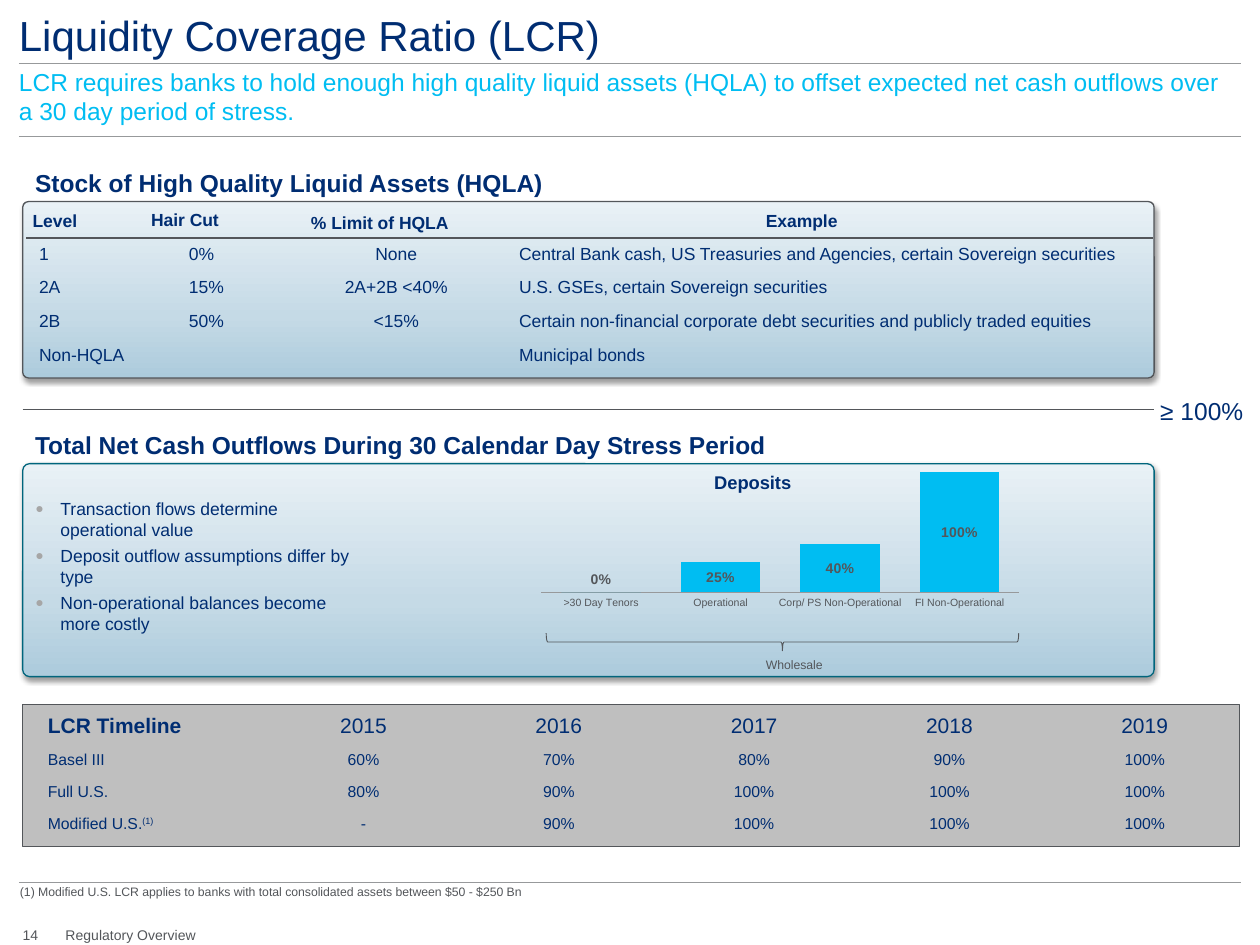
from lxml.etree import SubElement
from pptx import Presentation
from pptx.chart.data import CategoryChartData
from pptx.dml.color import RGBColor
from pptx.enum.chart import XL_CHART_TYPE, XL_LABEL_POSITION as LABEL, XL_TICK_MARK as TICK
from pptx.enum.shapes import MSO_CONNECTOR, MSO_SHAPE as SHAPE
from pptx.enum.text import MSO_ANCHOR as ANCHOR, PP_ALIGN as ALIGN
from pptx.oxml import parse_xml
from pptx.oxml.ns import nsdecls, qn
from pptx.util import Inches, Pt

NAVY = RGBColor(0x00, 0x2D, 0x72)
CYAN = RGBColor(0x00, 0xBD, 0xF2)
TEAL = RGBColor(0x00, 0x65, 0x7C)
DARK = RGBColor(0x53, 0x56, 0x5A)
GRAY = RGBColor(0x97, 0x99, 0x9B)
SILVER = RGBColor(0xBF, 0xBF, 0xBF)
WHITE = RGBColor(0xFF, 0xFF, 0xFF)
BULLET = RGBColor(0xA6, 0xA6, 0xA6)
CARD_STOPS = ((0, "ACCBDC"), (35, "C5DAE6"), (100, "E9F1F6"))
NO_STYLE = "{2D5ABB26-0587-4C30-8999-92F81FD0307C}"

ASSETS = [
    ("1", "0%", "None", "Central Bank cash, US Treasuries and Agencies, certain Sovereign securities"),
    ("2A", "15%", "2A+2B <40%", "U.S. GSEs, certain Sovereign securities"),
    ("2B", "50%", "<15%",
     "Certain non-financial corporate debt securities and publicly traded equities"),
    ("Non-HQLA", "", "", "Municipal bonds"),
]
TIMELINE = [
    ("LCR Timeline", "2015", "2016", "2017", "2018", "2019"),
    ("Basel III", "60%", "70%", "80%", "90%", "100%"),
    ("Full U.S.", "80%", "90%", "100%", "100%", "100%"),
    ("Modified U.S.", "-", "90%", "100%", "100%", "100%"),
]
HEADINGS = [("Level", 0.16, 1.62, 0.71), ("Hair Cut", 1.1, 1.61, 1.09),
            ("% Limit of HQLA", 2.37, 1.63, 1.54), ("Example", 5.98, 1.62, 0.87)]
POINTS = ["Transaction flows determine operational value",
          "Deposit outflow assumptions differ by type",
          "Non-operational balances become more costly"]
DEPOSITS = {">30 Day Tenors": 0, "Operational": 0.25,
            "Corp/ PS Non-Operational": 0.4, "FI Non-Operational": 1}


class SlideBuilder:
    def __init__(self, slide, font="Arial"):
        self.slide, self.font = slide, font

    def style(self, font, size, color, bold=False):
        values = {"name": self.font, "size": Pt(size), "bold": bold}
        for name, value in values.items():
            setattr(font, name, value)
        font.color.rgb = color

    def run(self, p, text, size, color=NAVY, bold=False):
        r = p.add_run()
        r.text = text
        self.style(r.font, size, color, bold)
        return r

    def frame(self, tf, margins=None, anchor=ANCHOR.TOP):
        values = {"word_wrap": True, "vertical_anchor": anchor}
        if margins is not None:
            values.update({f"margin_{side}": Inches(margins)
                           for side in ("left", "right", "top", "bottom")})
        for name, value in values.items():
            setattr(tf, name, value)

    def place(self, sp, box):
        for name, value in zip(("left", "top", "width", "height"), box):
            setattr(sp, name, Inches(value))

    def text(self, box, text, size, color=NAVY, bold=False, **frame):
        tf = self.slide.shapes.add_textbox(*map(Inches, box)).text_frame
        self.frame(tf, **frame)
        self.run(tf.paragraphs[0], text, size, color, bold)

    def title(self, box, text):
        sp = self.slide.shapes.title
        self.place(sp, box)
        sp.fill.solid()
        sp.fill.fore_color.rgb = sp.line.color.rgb = WHITE
        self.frame(sp.text_frame, margins=0, anchor=ANCHOR.MIDDLE)
        p = sp.text_frame.paragraphs[0]
        p.alignment = ALIGN.LEFT
        self.run(p, text, 24)

    def bullets(self, box, items):
        sp = self.slide.placeholders[1]
        # Re-adding the placeholder's element brings it in front of the card.
        self.slide.shapes._spTree.append(sp._element)
        self.place(sp, box)
        tf = sp.text_frame
        self.frame(tf)
        for i, item in enumerate(items):
            p = tf.add_paragraph() if i else tf.paragraphs[0]
            p.space_before = Pt(3)
            pPr = p._p.get_or_add_pPr()
            pPr.set("marL", str(Inches(0.2)))
            pPr.set("indent", str(Inches(-0.2)))
            color = SubElement(pPr, qn("a:buClr"))
            SubElement(color, qn("a:srgbClr"), val=str(BULLET))
            SubElement(pPr, qn("a:buSzPct"), val="80000")
            SubElement(pPr, qn("a:buFont"), typeface=self.font)
            SubElement(pPr, qn("a:buChar"), char="●")
            self.run(p, item, 10)

    def rule(self, x1, x2, y, color=GRAY):
        line = self.slide.shapes.add_connector(
            MSO_CONNECTOR.STRAIGHT, *map(Inches, (x1, y, x2, y)))
        line.line.color.rgb, line.line.width = color, Pt(0.5)
        SubElement(line._element.spPr, qn("a:effectLst"))

    def shape(self, kind, box, line, width=0.75, fill=None):
        sp = self.slide.shapes.add_shape(kind, *map(Inches, box))
        sp.shadow.inherit = False
        sp.line.color.rgb, sp.line.width = line, Pt(width)
        if fill is None:
            sp.fill.background()
        else:
            sp.fill.solid()
            sp.fill.fore_color.rgb = fill
        return sp

    def card(self, box, line):
        """Rounded panel with a vertical gradient and a soft shadow."""
        sp = self.shape(SHAPE.ROUNDED_RECTANGLE, box, line)
        sp.adjustments[0] = 0.033
        spPr = sp._element.spPr
        stops = "".join(f'<a:gs pos="{pos * 1000}"><a:srgbClr val="{color}"/></a:gs>'
                        for pos, color in CARD_STOPS)
        spPr.replace(spPr.find(qn("a:noFill")), parse_xml(
            f'<a:gradFill {nsdecls("a")} rotWithShape="1"><a:gsLst>{stops}</a:gsLst>'
            '<a:lin ang="16200000" scaled="0"/></a:gradFill>'))
        shadow = SubElement(spPr.find(qn("a:effectLst")), qn("a:outerShdw"), blurRad=str(Pt(3.1)),
                            dist=str(Pt(1.6)), dir="5400000", rotWithShape="0")
        color = SubElement(shadow, qn("a:srgbClr"), val="000000")
        SubElement(color, qn("a:alpha"), val="38000")

    def table(self, box, rows, widths, heights, sizes, centered, anchor, top_line=False):
        table = self.slide.shapes.add_table(len(rows), len(widths), *map(Inches, box)).table
        table.first_row = table.horz_banding = False
        table._tbl.tblPr.find(qn("a:tableStyleId")).text = NO_STYLE
        for column, width in zip(table.columns, widths):
            column.width = Inches(width)
        for i, (row, height, size) in enumerate(zip(rows, heights, sizes)):
            table.rows[i].height = Inches(height)
            for j, text in enumerate(row):
                cell = table.cell(i, j)
                cell.fill.background()
                cell.vertical_anchor = anchor
                p = cell.text_frame.paragraphs[0]
                p.alignment = ALIGN.CENTER if j in centered else ALIGN.LEFT
                if text:
                    self.run(p, text, size)
                else:
                    p._p.get_or_add_endParaRPr().set("sz", str(size * 100))
                if top_line and i == 0:
                    cell._tc.get_or_add_tcPr().insert(0, parse_xml(
                        f'<a:lnT {nsdecls("a")} w="{Pt(1)}"><a:solidFill>'
                        f'<a:srgbClr val="{DARK}"/></a:solidFill></a:lnT>'))
        return table

    def column_chart(self, box, values):
        data = CategoryChartData(number_format="0%")
        data.categories = list(values)
        data.add_series("Series 1", list(values.values()))
        chart = self.slide.shapes.add_chart(
            XL_CHART_TYPE.COLUMN_CLUSTERED, *map(Inches, box), data).chart
        chart.has_legend = chart.has_title = False
        self.style(chart.font, 18, DARK)
        axis = chart.category_axis
        axis.major_tick_mark = TICK.NONE
        axis.format.line.color.rgb = GRAY
        self.style(axis.tick_labels.font, 6, DARK)
        scale = chart.value_axis
        scale.minimum_scale, scale.maximum_scale = 0, 1
        scale.visible = scale.has_major_gridlines = False
        plot = chart.plots[0]
        plot.gap_width, plot.vary_by_categories = 50, False
        series = plot.series[0]
        series.format.fill.solid()
        series.format.fill.fore_color.rgb = CYAN
        labels = series.data_labels
        labels.show_value, labels.position = True, LABEL.CENTER
        labels.number_format, labels.number_format_is_linked = "0%", False
        self.style(labels.font, 8, DARK, True)
        zero = series.points[0].data_label
        self.style(zero.font, 8, DARK, True)
        zero.position = LABEL.OUTSIDE_END
        area = chart._chartSpace.chart.plotArea
        for old in area.findall(qn("c:layout")):
            area.remove(old)
        sides = {"x": 0.012, "y": 0.041, "w": 0.968, "h": 0.677}
        modes = '<c:xMode val="edge"/><c:yMode val="edge"/>'
        area.insert(0, parse_xml(
            f'<c:layout {nsdecls("c")}><c:manualLayout><c:layoutTarget val="inner"/>{modes}'
            + "".join(f'<c:{k} val="{v}"/>' for k, v in sides.items())
            + "</c:manualLayout></c:layout>"))


def main():
    prs = Presentation()
    prs.slide_width, prs.slide_height = Inches(10), Inches(7.5)
    s = SlideBuilder(prs.slides.add_slide(prs.slide_layouts[1]))

    for y in (0.5, 1.08, 7):
        s.rule(0.15, 9.85, y)
    s.title((0.15, 0.07, 9.69, 0.41), "Liquidity Coverage Ratio (LCR)")
    s.text((0.15, 0.53, 9.69, 0.47),
           "LCR requires banks to hold enough high quality liquid assets (HQLA) to offset "
           "expected net cash outflows over a 30 day period of stress.",
           14, CYAN, margins=0, anchor=ANCHOR.MIDDLE)

    s.card((0.18, 1.6, 8.98, 1.4), DARK)
    s.text((0.18, 1.25, 8.98, 0.4), "Stock of High Quality Liquid Assets (HQLA)",
           14, bold=True, anchor=ANCHOR.MIDDLE)
    s.table((0.21, 1.89, 8.94, 1.07), ASSETS, (1.19, 0.87, 1.75, 5.13), [0.267] * 4,
            [10] * 4, {2}, ANCHOR.TOP, top_line=True)
    for text, x, y, width in HEADINGS:
        s.text((x, y, width, 0.27), text, 10, bold=True)

    s.rule(0.18, 9.16, 3.25, DARK)
    s.text((9.11, 3.09, 0.89, 0.34), "≥ 100%", 14)

    s.card((0.18, 3.68, 8.98, 1.69), TEAL)
    s.text((0.18, 3.33, 8.98, 0.4),
           "Total Net Cash Outflows During 30 Calendar Day Stress Period",
           14, bold=True, anchor=ANCHOR.MIDDLE)
    s.bullets((0.18, 3.9, 2.78, 1.19), POINTS)
    s.column_chart((4.25, 3.69, 3.92, 1.41), DEPOSITS)
    s.text((5.57, 3.69, 1.45, 0.29), "Deposits", 10.5, bold=True)
    s.shape(SHAPE.LEFT_BRACE, (6.14, 3.22, 0.14, 3.75), DARK, 0.5).rotation = 270
    s.text((5.98, 5.17, 0.9, 0.23), "Wholesale", 7, DARK)

    s.shape(SHAPE.RECTANGLE, (0.18, 5.59, 9.66, 1.13), DARK, fill=SILVER)
    timeline = s.table((0.28, 5.61, 9.58, 1.01), TIMELINE, [1.83] + [1.55] * 5,
                       [0.29] + [0.24] * 3, [12, 9, 9, 9], range(1, 6), ANCHOR.MIDDLE)
    timeline.cell(0, 0).text_frame.paragraphs[0].runs[0].font.bold = True
    mark = s.run(timeline.cell(3, 0).text_frame.paragraphs[0], "(1)", 9)
    mark.font._element.set("baseline", "30000")

    s.text((0.06, 6.97, 5.81, 0.22),
           "(1) Modified U.S. LCR applies to banks with total consolidated assets "
           "between $50 - $250 Bn", 7, DARK)
    s.text((0.18, 7.35, 0.3, 0.13), "14", 8, DARK, margins=0)
    s.text((0.52, 7.35, 1.5, 0.13), "Regulatory Overview", 8, DARK, margins=0)
    prs.save("out.pptx")


if __name__ == "__main__":
    main()
